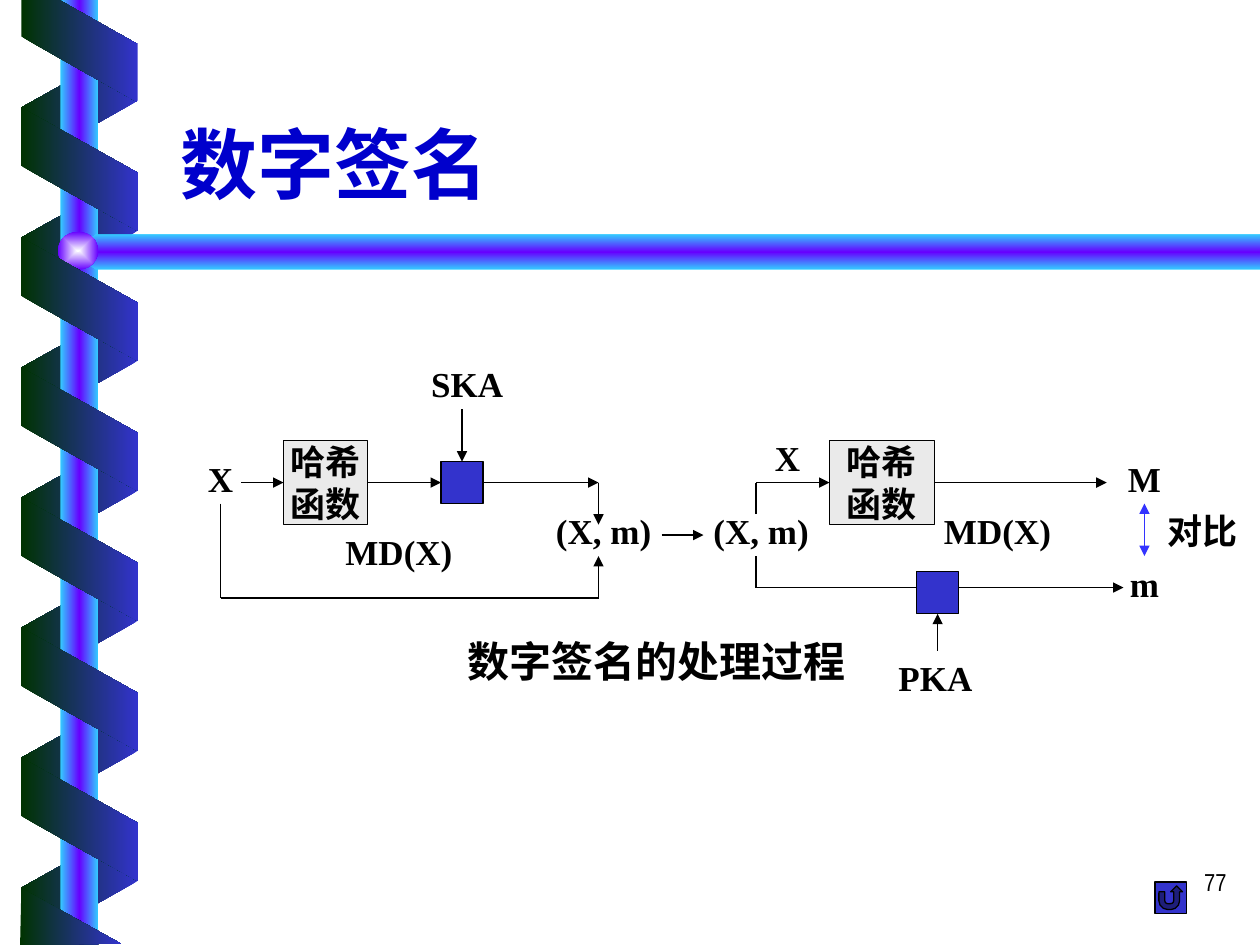
from typing import NamedTuple

from lxml.etree import SubElement
from pptx import Presentation
from pptx.dml.color import RGBColor
from pptx.enum.shapes import MSO_CONNECTOR, MSO_SHAPE
from pptx.enum.text import MSO_ANCHOR, MSO_AUTO_SIZE, PP_ALIGN
from pptx.oxml.ns import qn
from pptx.util import Inches, Pt

COLORS = {
    "black": "000000", "title": "0000CC", "box": "EAEAEA", "key": "3333CC",
    "compare": "3333FF", "green": "003300", "cyan": "33CCFF",
    "violet": "6600FF", "glow": "FEFFFF",
}
SERIF, SANS, NARROW = "Times New Roman", "Noto Sans CJK SC", "Arial Narrow"
TOP, LEFT, BOTTOM, RIGHT = range(4)
RIBBON = ["green", "key"]
RAIL = ["cyan", "violet", "cyan"]


class Grid(NamedTuple):
    """A box in inches, divided into columns and rows."""
    left: float
    top: float
    width: float
    height: float
    columns: float
    rows: float

    def size(self, columns, rows):
        return (Inches(columns * self.width / self.columns),
                Inches(rows * self.height / self.rows))

    def point(self, column, row):
        x, y = self.size(column, row)
        return Inches(self.left) + x, Inches(self.top) + y

    def place(self, column, row, columns, rows):
        return *self.point(column, row), *self.size(columns, rows)


def color(name):
    return RGBColor.from_string(COLORS[name])


def paint(shape, fill, line=None):
    shape.shadow.inherit = False
    shape.fill.solid()
    shape.fill.fore_color.rgb = color(fill)
    if line:
        shape.line.color.rgb = color(line)
        shape.line.width = Pt(0.75)
    else:
        shape.line.fill.background()


def paint_gradient(shape, names, angle=0, from_center=False):
    """Spread the named colours evenly, along an angle or out from the centre."""
    paint(shape, names[0])
    properties = shape._element.spPr
    solid = properties.find(qn("a:solidFill"))
    gradient = SubElement(properties, qn("a:gradFill"), rotWithShape="0")
    properties.replace(solid, gradient)
    stops = SubElement(gradient, qn("a:gsLst"))
    for index, name in enumerate(names):
        position = 100000 * index // (len(names) - 1)
        stop = SubElement(stops, qn("a:gs"), pos=str(position))
        SubElement(stop, qn("a:srgbClr"), val=COLORS[name])
    if from_center:
        path = SubElement(gradient, qn("a:path"), path="rect")
        SubElement(path, qn("a:fillToRect"), l="50000", t="50000", r="50000", b="50000")
    else:
        SubElement(gradient, qn("a:lin"), ang=str(angle * 60000), scaled="0")


def add_polygon(slide, grid, corners):
    points = [grid.point(*corner) for corner in corners]
    builder = slide.shapes.build_freeform(*points[0], scale=1.0)
    builder.add_line_segments(points[1:], close=True)
    return builder.convert_to_shape()


def write(shape, lines, size, font=SERIF, ink="black", bold=True, align=PP_ALIGN.CENTER):
    frame = shape.text_frame
    for index, line in enumerate(lines):
        paragraph = frame.add_paragraph() if index else frame.paragraphs[0]
        paragraph.alignment = align
        run = paragraph.add_run()
        run.text = line
        run.font.size = Pt(size)
        run.font.bold = bold
        run.font.name = font
        run.font.color.rgb = color(ink)
        SubElement(run._r.get_or_add_rPr(), qn("a:ea"), typeface=SANS)


def add_label(slide, place, text, size=20, **style):
    label = slide.shapes.add_textbox(*place)
    label.text_frame.word_wrap = True
    label.text_frame.auto_size = MSO_AUTO_SIZE.SHAPE_TO_FIT_TEXT
    write(label, [text], size, **style)
    return label


def add_line(slide, grid, start, end, heads=("tailEnd",), ink="black", begin=None, finish=None):
    """Draw a line; begin and finish are (shape, side) pairs to join."""
    line = slide.shapes.add_connector(
        MSO_CONNECTOR.STRAIGHT, *grid.point(*start), *grid.point(*end))
    line.line.color.rgb = color(ink)
    line.line.width = Pt(0.75)
    outline = line.line._get_or_add_ln()
    for head in heads:
        SubElement(outline, qn(f"a:{head}"), type="triangle")
    SubElement(line._element.spPr, qn("a:effectLst"))
    if begin:
        line.begin_connect(*begin)
    if finish:
        line.end_connect(*finish)


def add_ribbons(slide, grid, first_row, count, front):
    for index in range(count):
        ribbon = slide.shapes.add_shape(
            MSO_SHAPE.PARALLELOGRAM, *grid.place(14, first_row + 103.2 * index, 98, 92.5))
        ribbon.adjustments[0] = 0.56
        ribbon.rotation = 270 if front else 90
        if not front:
            ribbon._element.spPr.find(qn("a:xfrm")).set("flipH", "1")
        paint_gradient(ribbon, RIBBON if front else RIBBON[::-1])


def add_spiral(slide, grid):
    """Ribbon wound round a pole, with the title rail joined by a ball."""
    add_ribbons(slide, grid, 36.5, 7, front=False)
    pole = slide.shapes.add_shape(MSO_SHAPE.RECTANGLE, *grid.place(48, 0, 30, 750))
    paint_gradient(pole, RAIL)
    rail = add_polygon(slide, grid, [(1000, 186), (76, 186), (60, 200), (76, 214), (1000, 214)])
    paint_gradient(rail, RAIL, angle=90)
    ball = slide.shapes.add_shape(MSO_SHAPE.OVAL, *grid.place(46, 184, 32, 30))
    paint_gradient(ball, ["glow", "violet"], from_center=True)
    add_ribbons(slide, grid, 88, 6, front=True)
    for corners in ([(17, 0), (17, 29), (109, 81), (109, 35), (47, 0)],
                    [(96, 749), (17, 705), (16, 750)]):
        paint_gradient(add_polygon(slide, grid, corners), RIBBON)


def add_hash_box(slide, place):
    box = slide.shapes.add_shape(MSO_SHAPE.RECTANGLE, *place)
    paint(box, "box", "black")
    box.text_frame.word_wrap = False
    box.text_frame.vertical_anchor = MSO_ANCHOR.MIDDLE
    write(box, ["哈希", "函数"], 20)
    return box


def add_key_box(slide, place):
    box = slide.shapes.add_shape(MSO_SHAPE.RECTANGLE, *place)
    paint(box, "key", "black")
    return box


def add_signing(slide, grid):
    hash_box = add_hash_box(slide, grid.place(9, 8, 8, 8))
    key_box = add_key_box(slide, grid.place(24, 10, 4, 4))
    add_line(slide, grid, (5, 12), (9, 12), finish=(hash_box, LEFT))
    add_line(slide, grid, (17, 12), (24, 12), begin=(hash_box, RIGHT), finish=(key_box, LEFT))
    add_line(slide, grid, (28, 12), (39, 12), begin=(key_box, RIGHT))
    add_line(slide, grid, (26, 5), (26, 10), finish=(key_box, TOP))
    add_line(slide, grid, (39, 12), (39, 16))
    add_line(slide, grid, (3, 14), (3, 23), heads=())
    add_line(slide, grid, (3, 23), (39, 23), heads=())
    add_line(slide, grid, (39, 23), (39, 19))
    add_line(slide, grid, (45, 17), (49, 17))


def add_checking(slide, grid):
    add_line(slide, grid, (54, 15), (54, 12), heads=())
    add_line(slide, grid, (54, 19), (54, 22), heads=())
    add_line(slide, grid, (54, 22), (89, 22))
    hash_box = add_hash_box(slide, grid.place(61, 8, 10, 8))
    key_box = add_key_box(slide, grid.place(69.3, 20.5, 4, 4))
    add_line(slide, grid, (54, 12), (61, 12), finish=(hash_box, LEFT))
    add_line(slide, grid, (71, 12), (87.4, 12), begin=(hash_box, RIGHT))
    add_line(slide, grid, (71.3, 28), (71.3, 24.5), finish=(key_box, BOTTOM))
    add_line(slide, grid, (91, 14), (91, 19), heads=("headEnd", "tailEnd"), ink="compare")


def add_diagram(slide, grid):
    add_signing(slide, grid)
    add_checking(slide, grid)
    labels = [
        ("X", 0, 9, 6), ("MD(X)", 11, 16, 18), ("(X, m)", 33, 14, 13),
        ("(X, m)", 48, 14, 13), ("X", 54, 7, 6), ("MD(X)", 70, 14, 14),
        ("M", 88, 9, 6), ("m", 88, 19, 6), ("SKA", 21, 0, 11), ("PKA", 65.6, 28, 11),
    ]
    for text, column, row, columns in labels:
        add_label(slide, grid.place(column, row, columns, 5.25), text)
    add_label(slide, grid.place(92, 14, 10, 5.25), "对比", align=PP_ALIGN.LEFT)
    add_label(slide, grid.place(22, 26, 45, 6), "数字签名的处理过程", size=24)


def add_title(slide, grid):
    title = add_label(slide, grid.place(16, 5.5, 102, 15), "数字签名", size=44,
                      font=SANS, ink="title", align=PP_ALIGN.LEFT)
    title.text_frame.auto_size = MSO_AUTO_SIZE.NONE
    title.text_frame.vertical_anchor = MSO_ANCHOR.BOTTOM


def add_footer(slide, grid):
    number = add_label(slide, grid.place(93, 82, 25, 6), "77", size=14, font=NARROW,
                       bold=False, align=PP_ALIGN.RIGHT)
    number.text_frame.auto_size = MSO_AUTO_SIZE.NONE
    button = slide.shapes.add_shape(MSO_SHAPE.ACTION_BUTTON_RETURN, *grid.place(110, 84, 3, 3))
    paint(button, "key", "black")


def main():
    presentation = Presentation()
    presentation.slide_width, presentation.slide_height = Inches(10), Inches(7.5)
    slide = presentation.slides.add_slide(presentation.slide_layouts[6])
    page = Grid(0, 0, 10, 7.5, columns=120, rows=90)
    add_spiral(slide, page._replace(columns=1000, rows=750))
    add_footer(slide, page)
    add_title(slide, page)
    add_diagram(slide, Grid(1.5, 2.83, 8.5, 2.75, columns=102, rows=33))
    presentation.save("out.pptx")


if __name__ == "__main__":
    main()
